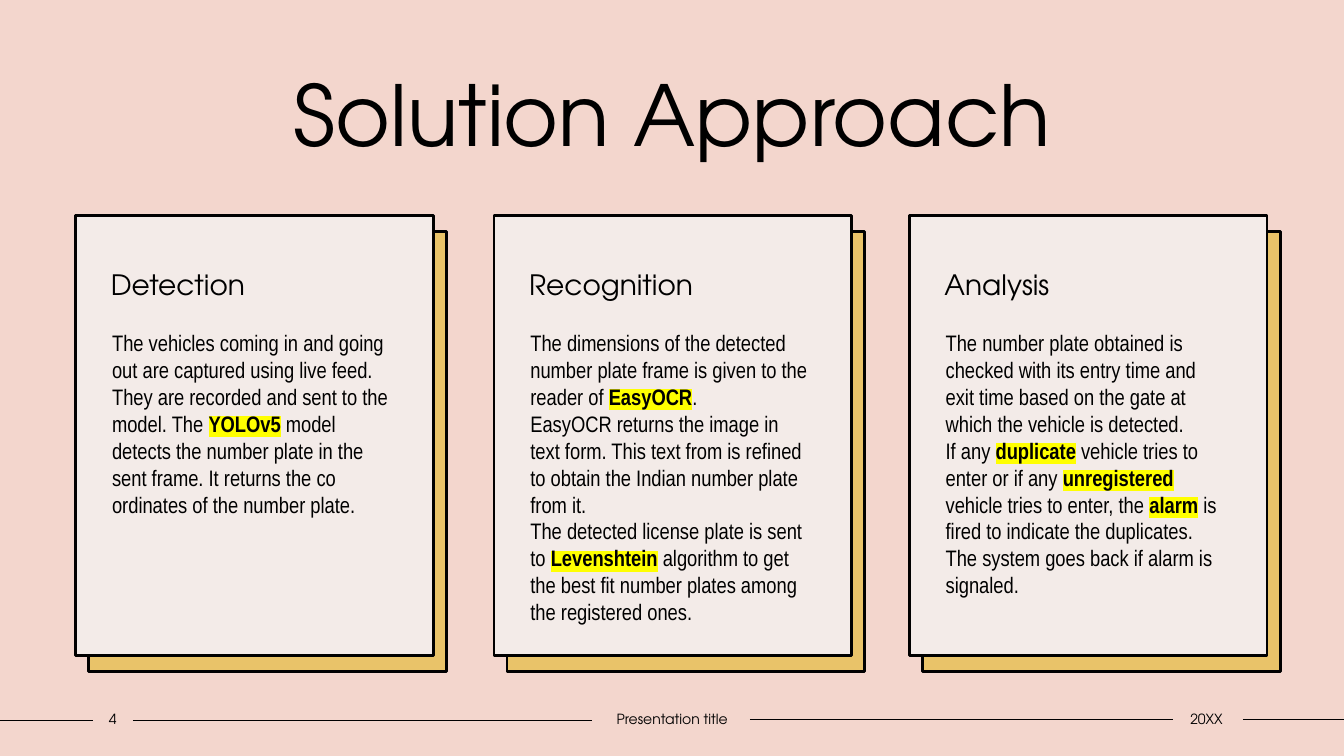
from dataclasses import dataclass

from lxml import etree
from pptx import Presentation
from pptx.dml.color import RGBColor
from pptx.enum import shapes, text
from pptx.oxml.ns import qn
from pptx.util import Pt


@dataclass(frozen=True)
class Theme:
    background: str = "F3D6CD"
    card: str = "F3EBE8"
    backing: str = "E9C369"
    ink: str = "000000"
    marker: str = "FFFF00"
    display_font: str = "TeX Gyre Adventor"
    body_font: str = "Arial Narrow"
    title_size: int = 60
    heading_size: int = 20
    body_size: int = 16
    footer_size: int = 10


theme = Theme()


def write(shape, paragraphs, *, size, font=theme.display_font, align=text.PP_ALIGN.LEFT,
          anchor=text.MSO_ANCHOR.TOP, insets=(7.2, 3.6, 7.2, 3.6), spacing=1.0, before=0):
    """Fill a shape with text; words between asterisks are bold and highlighted."""
    frame = shape.text_frame
    frame.word_wrap = True
    frame.vertical_anchor = anchor
    frame.margin_left, frame.margin_top, frame.margin_right, frame.margin_bottom = map(Pt, insets)
    for index, content in enumerate(paragraphs):
        paragraph = frame.paragraphs[0] if index == 0 else frame.add_paragraph()
        paragraph.alignment = align
        paragraph.line_spacing = spacing
        paragraph.space_before = Pt(before)
        for part, words in enumerate(content.split("*")):
            run = paragraph.add_run()
            run.text = words
            run.font.size = Pt(size)
            run.font.bold = part % 2 == 1
            run.font.color.rgb = RGBColor.from_string(theme.ink)
            if run.font.bold:
                highlight = etree.SubElement(run.font._element, qn("a:highlight"))
                etree.SubElement(highlight, qn("a:srgbClr"), val=theme.marker)
            run.font.name = font


def add_panel(left, top, fill):
    panel = slide.shapes.add_shape(shapes.MSO_SHAPE.RECTANGLE,
                                   Pt(left), Pt(top), Pt(255.6), Pt(313.9))
    panel.shadow.inherit = False
    panel.fill.solid()
    panel.fill.fore_color.rgb = RGBColor.from_string(fill)
    panel.line.color.rgb = RGBColor.from_string(theme.ink)
    panel.line.width = Pt(2)
    return panel


deck = Presentation()
deck.slide_width, deck.slide_height = Pt(960), Pt(540)
slide = deck.slides.add_slide(deck.slide_layouts[6])
slide.background.fill.solid()
slide.background.fill.fore_color.rgb = RGBColor.from_string(theme.background)

# Footer rules
for start, end, y in [(0, 66.2, 514.8), (95, 422.6, 514.8),
                      (535.7, 838.1, 514.1), (887.8, 960, 514.1)]:
    rule = slide.shapes.add_connector(shapes.MSO_CONNECTOR.STRAIGHT,
                                      Pt(start), Pt(y), Pt(end), Pt(y))
    rule.line.color.rgb = RGBColor.from_string(theme.ink)
    rule.line.width = Pt(1)
    etree.SubElement(rule._element.spPr, qn("a:effectLst"))

# Title
title = slide.shapes.add_textbox(Pt(90), Pt(40.3), Pt(780.5), Pt(79.9))
write(title, ["Solution Approach"], size=theme.title_size,
      align=text.PP_ALIGN.CENTER, anchor=text.MSO_ANCHOR.MIDDLE)

# Cards
steps = [
    (54, "Detection", [
        "The vehicles coming in and going out are captured using live feed. They are recorded "
        "and sent to the model. The *YOLOv5* model detects the number plate in the sent frame. "
        "It returns the co ordinates of the number plate.",
    ]),
    (352.8, "Recognition", [
        "The dimensions of the detected number plate frame is given to the reader of *EasyOCR*.",
        "EasyOCR returns the image in text form. This text from is refined to obtain the Indian "
        "number plate from it.",
        "The detected license plate is sent to *Levenshtein* algorithm to get the best fit "
        "number plates among the registered ones.",
    ]),
    (649.4, "Analysis", [
        "The number plate obtained is checked with its entry time and exit time based on the "
        "gate at which the vehicle is detected.",
        "If any *duplicate* vehicle tries to enter or if any *unregistered *vehicle tries to "
        "enter, the *alarm* is fired to indicate the duplicates. The system goes back if alarm "
        "is signaled.",
    ]),
]
card_top = 154.1
for left, heading, description in steps:
    add_panel(left + 9.4, card_top + 11.5, theme.backing)
    card = add_panel(left, card_top, theme.card)
    write(card, [heading], size=theme.heading_size, insets=(25.2, 39.6, 7.2, 3.6),
          spacing=0.9, before=10)
    body = slide.shapes.add_textbox(Pt(left + 19), Pt(231.8), Pt(216), Pt(219.6))
    write(body, description, size=theme.body_size, font=theme.body_font)

# Footer labels
for left, width, label in [(66.2, 28.8, "4"), (422.6, 115.2, "Presentation title"),
                           (836.6, 50.4, "20XX")]:
    footer = slide.shapes.add_textbox(Pt(left), Pt(504), Pt(width), Pt(19.4))
    write(footer, [label], size=theme.footer_size, align=text.PP_ALIGN.CENTER,
          anchor=text.MSO_ANCHOR.MIDDLE, insets=(0, 3.6, 0, 3.6))

deck.save("out.pptx")
